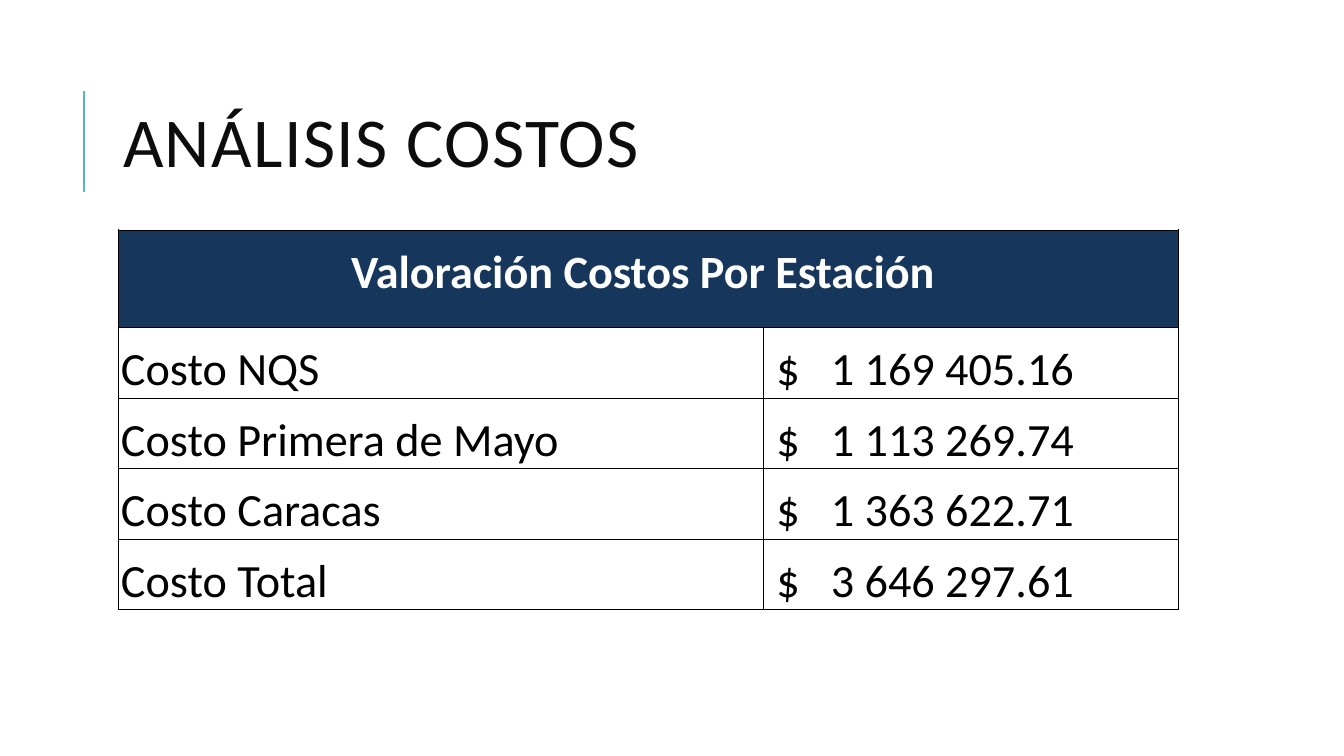
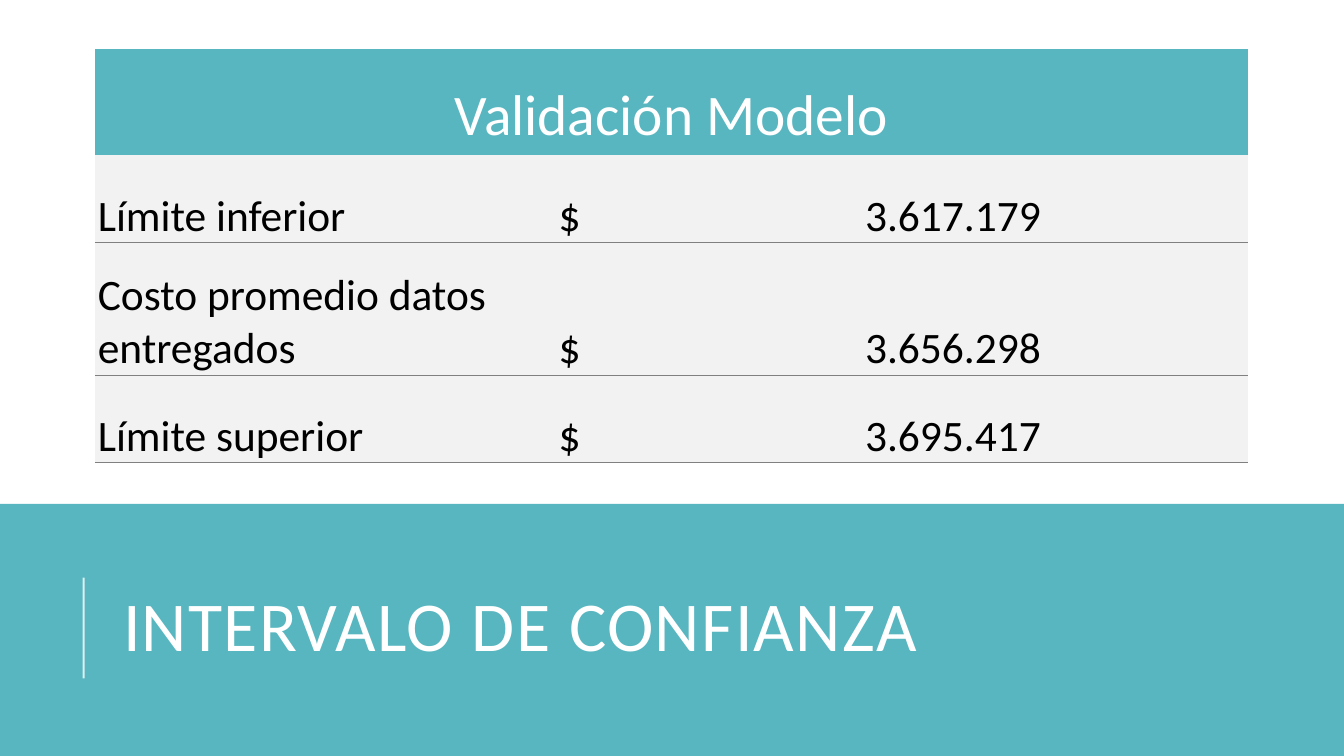
from lxml.etree import SubElement
from pptx import Presentation
from pptx.dml.color import RGBColor
from pptx.enum.shapes import MSO_CONNECTOR, MSO_SHAPE
from pptx.enum.text import MSO_ANCHOR, MSO_AUTO_SIZE, PP_ALIGN
from pptx.oxml import parse_xml
from pptx.oxml.ns import nsdecls, qn
from pptx.util import Inches, Pt

TEAL = RGBColor(0x58, 0xB6, 0xC0)
NAVY = RGBColor(0x16, 0x36, 0x5C)
INK = RGBColor(0x0D, 0x0D, 0x0D)
BLACK = RGBColor(0, 0, 0)
WHITE = RGBColor(0xFF, 0xFF, 0xFF)
GRAY = RGBColor(0x80, 0x80, 0x80)
PALE = RGBColor(0xF2, 0xF2, 0xF2)
FONT = "Calibri"
NO_STYLE = "{2D5ABB26-0587-4C30-8999-92F81FD0307C}"

SLIDES = [
    {
        "title": "ANÁLISIS COSTOS", "title_top": 0.64, "title_color": INK,
        "rule_top": 0.9, "rule_color": TEAL, "rule_alpha": None, "band": False,
        "at": (1.17, 2.28), "cols": (6.4, 4.12), "rows": (0.97, 0.7, 0.7, 0.7, 0.7),
        "header": "Valoración Costos Por Estación ",
        "header_font": {"size": Pt(33), "bold": True, "color": WHITE},
        "header_fill": NAVY, "header_anchor": MSO_ANCHOR.TOP,
        "header_margins": (0.3, 0.15, 0.3, 0.15),
        "body": [("Costo NQS", "1 169 405.16"), ("Costo Primera de Mayo", "1 113 269.74"),
                 ("Costo Caracas", "1 363 622.71"), ("Costo Total", "3 646 297.61")],
        "body_font": {"size": Pt(33), "bold": False, "color": BLACK},
        "body_fill": None, "body_top": 0.03, "tab": 0.54,
        "header_sides": "LRTB", "body_sides": "LRTB", "border": (BLACK, 0.5),
    },
    {
        "title": "INTERVALO DE CONFIANZA", "title_top": 5.44, "title_color": WHITE,
        "rule_top": 5.73, "rule_color": WHITE, "rule_alpha": 80, "band": True,
        "at": (0.94, 0.49), "cols": (4.47, 6.97), "rows": (1.05, 0.87, 1.3, 0.87),
        "header": "Validación Modelo",
        "header_font": {"size": Pt(41), "bold": False, "color": WHITE},
        "header_fill": TEAL, "header_anchor": MSO_ANCHOR.MIDDLE,
        "header_margins": (0.03, 0.26, 0.03, 0),
        "body": [("Límite inferior", "3.617.179"),
                 ("Costo promedio datos entregados", "3.656.298"),
                 ("Límite superior", "3.695.417")],
        "body_font": {"size": Pt(31), "bold": False, "color": BLACK},
        "body_fill": PALE, "body_top": 0.26, "tab": 3.04,
        "header_sides": "", "body_sides": "B", "border": (GRAY, 0.75),
    },
]


def set_font(font, fmt):
    for name, value in {"name": FONT, **fmt}.items():
        if name == "color":
            font.color.rgb = value
        else:
            setattr(font, name, value)


def format_cell(cell, fill, margins, anchor, sides, border):
    for side, value in zip(("left", "top", "right", "bottom"), margins):
        setattr(cell, f"margin_{side}", Inches(value))
    cell.vertical_anchor = anchor
    if fill is None:
        cell.fill.background()
    else:
        cell.fill.solid()
        cell.fill.fore_color.rgb = fill
    color, width = border
    tcPr = cell._tc.get_or_add_tcPr()
    for i, side in enumerate(sides):
        tcPr.insert(i, parse_xml(
            f'<a:ln{side} {nsdecls("a")} w="{Pt(width)}"><a:solidFill>'
            f'<a:srgbClr val="{color}"/></a:solidFill></a:ln{side}>'))


prs = Presentation()
prs.slide_width, prs.slide_height = Inches(13.33), Inches(7.5)

for spec_ in SLIDES:
    s = prs.slides.add_slide(prs.slide_layouts[5])

    title = s.shapes.title
    title.left, title.top = Inches(1.12), Inches(spec_["title_top"])
    title.width, title.height = Inches(10.63), Inches(1.64)
    tf = title.text_frame
    tf.auto_size = MSO_AUTO_SIZE.NONE
    tf.vertical_anchor = MSO_ANCHOR.MIDDLE
    p = tf.paragraphs[0]
    p.alignment = PP_ALIGN.LEFT
    p.line_spacing = 0.8
    r = p.add_run()
    r.text = spec_["title"]
    set_font(r.font, {"size": Pt(50), "color": spec_["title_color"]})
    r._r.get_or_add_rPr().set("spc", "100")

    if spec_["band"]:
        band = s.shapes.add_shape(MSO_SHAPE.RECTANGLE, 0, Inches(5), prs.slide_width, Inches(2.5))
        band.shadow.inherit = False
        band.fill.solid()
        band.fill.fore_color.rgb = TEAL
        band.line.fill.background()
        title._element.addprevious(band._element)

    rule = s.shapes.add_connector(MSO_CONNECTOR.STRAIGHT, Inches(0.83), Inches(spec_["rule_top"] + 1),
                                  Inches(0.83), Inches(spec_["rule_top"]))
    rule.line.width = Pt(1.5)
    rule.line.color.rgb = spec_["rule_color"]
    if spec_["rule_alpha"]:
        clr = rule._element.spPr.find(".//" + qn("a:srgbClr"))
        SubElement(clr, qn("a:alpha")).set("val", str(spec_["rule_alpha"] * 1000))
    SubElement(rule._element.spPr, qn("a:effectLst"))

    left, top = spec_["at"]
    cols, rows = spec_["cols"], spec_["rows"]
    table = s.shapes.add_table(len(rows), len(cols), Inches(left), Inches(top),
                               Inches(sum(cols)), Inches(sum(rows))).table
    table.horz_banding = table.first_row = False
    table._tbl.tblPr.find(qn("a:tableStyleId")).text = NO_STYLE
    for col, width in zip(table.columns, cols):
        col.width = Inches(width)
    for row, height in zip(table.rows, rows):
        row.height = Inches(height)

    for cell in table.rows[0].cells:
        format_cell(cell, spec_["header_fill"], spec_["header_margins"], spec_["header_anchor"],
                    spec_["header_sides"], spec_["border"])
    header = table.cell(0, 0)
    header.merge(table.cell(0, 1))
    p = header.text_frame.paragraphs[0]
    p.alignment = PP_ALIGN.CENTER
    r = p.add_run()
    r.text = spec_["header"]
    set_font(r.font, spec_["header_font"])

    for i, (label, amount) in enumerate(spec_["body"], 1):
        for j, text in enumerate((label, f"$\t{amount}")):
            cell = table.cell(i, j)
            format_cell(cell, spec_["body_fill"], (0.13 if j else 0.03, spec_["body_top"], 0.03, 0),
                        MSO_ANCHOR.BOTTOM, spec_["body_sides"], spec_["border"])
            p = cell.text_frame.paragraphs[0]
            if j:
                tabs = SubElement(p._p.get_or_add_pPr(), qn("a:tabLst"))
                tab = SubElement(tabs, qn("a:tab"))
                tab.set("pos", str(Inches(spec_["tab"])))
                tab.set("algn", "l")
            r = p.add_run()
            r.text = text
            set_font(r.font, spec_["body_font"])

prs.save("out.pptx")
